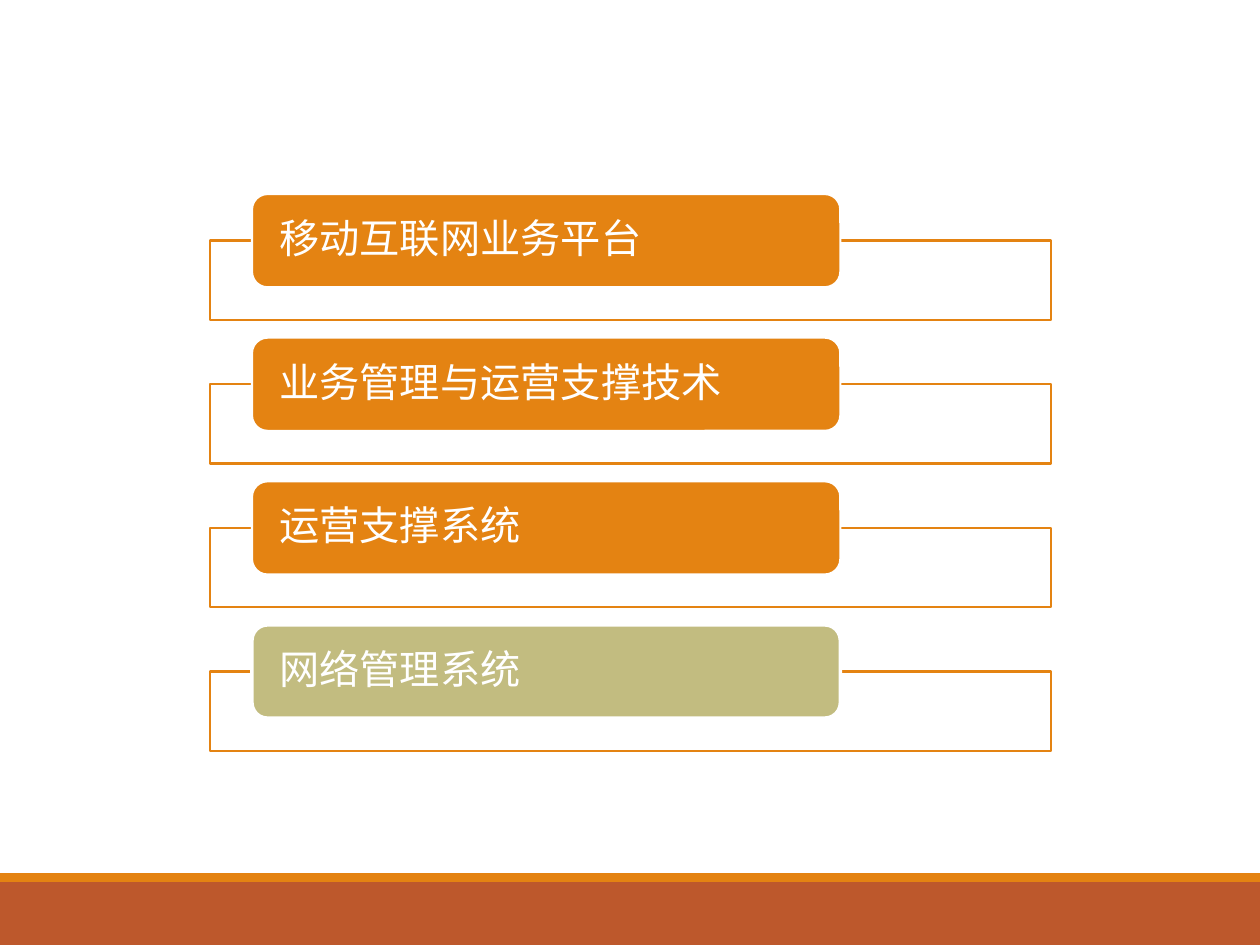
from pptx import Presentation
from pptx.dml.color import RGBColor
from pptx.enum.shapes import MSO_SHAPE
from pptx.enum.text import MSO_ANCHOR, PP_ALIGN
from pptx.util import Inches, Pt

COLORS = {"orange": "E48312", "rust": "BD582C", "olive": "C2BC80", "white": "FFFFFF"}
TOPICS = ["移动互联网业务平台", "业务管理与运营支撑技术", "运营支撑系统", "网络管理系统"]
CURRENT_TOPIC = "网络管理系统"
FIRST_TOP, ROW_STEP = 1.54, 1.14


def color(name):
    return RGBColor.from_string(COLORS[name])


def write_text(shape, text, size=23, font="Calibri", fill="white", inset=0.18):
    frame = shape.text_frame
    frame.word_wrap = True
    frame.vertical_anchor = MSO_ANCHOR.MIDDLE
    frame.margin_left = frame.margin_right = Inches(inset)
    frame.margin_top = frame.margin_bottom = 0
    paragraph = frame.paragraphs[0]
    paragraph.alignment = PP_ALIGN.LEFT
    paragraph.line_spacing = 0.9
    run = paragraph.add_run()
    run.text = text
    run.font.size = Pt(size)
    run.font.name = font
    run.font.color.rgb = color(fill)


class AgendaSlide:
    def __init__(self, slide):
        self.slide = slide

    def box(self, left, top, width, height, fill, line=None, line_width=1.25,
            kind=MSO_SHAPE.RECTANGLE):
        shape = self.slide.shapes.add_shape(
            kind, Inches(left), Inches(top), Inches(width), Inches(height))
        shape.shadow.inherit = False
        shape.fill.solid()
        shape.fill.fore_color.rgb = color(fill)
        if line:
            shape.line.color.rgb = color(line)
            shape.line.width = Pt(line_width)
        else:
            shape.line.fill.background()
        return shape

    def topic(self, top, text, is_current):
        self.box(1.67, top + 0.37, 6.67, 0.63, "white", line="orange")
        label = self.box(2, top, 4.67, 0.74, "olive" if is_current else "orange",
                         line="white", line_width=2 if is_current else 1.25,
                         kind=MSO_SHAPE.ROUNDED_RECTANGLE)
        write_text(label, text)


def main():
    deck = Presentation()
    deck.slide_width, deck.slide_height = Inches(10), Inches(7.5)
    agenda = AgendaSlide(deck.slides.add_slide(deck.slide_layouts[6]))

    # Footer bands
    agenda.box(0, 7, 10, 0.5, "rust")
    agenda.box(0, 6.93, 10, 0.07, "orange")

    # Agenda topics, the current one highlighted
    for row, text in enumerate(TOPICS):
        agenda.topic(FIRST_TOP + row * ROW_STEP, text, text == CURRENT_TOPIC)

    deck.save("out.pptx")


if __name__ == "__main__":
    main()
